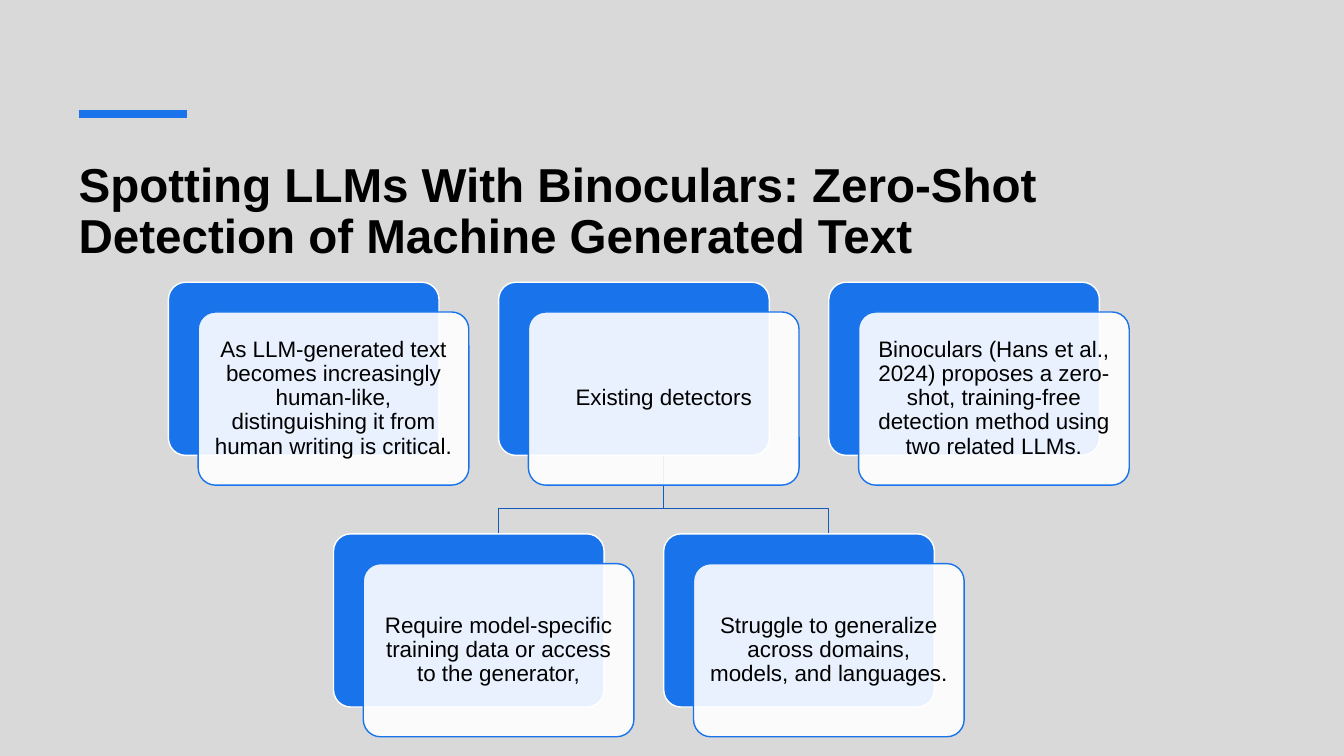
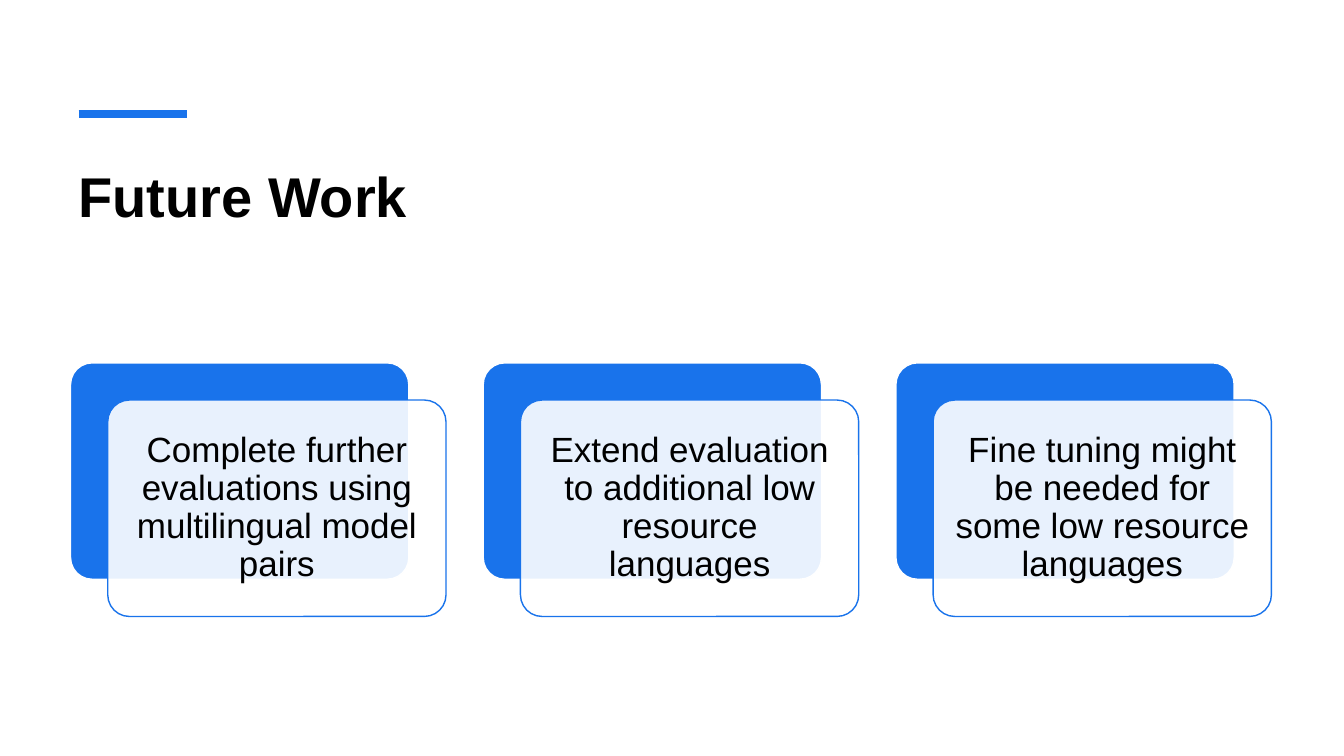
from dataclasses import dataclass

from lxml import etree
from pptx import Presentation
from pptx.dml.color import RGBColor
from pptx.enum.shapes import MSO_CONNECTOR, MSO_SHAPE
from pptx.enum.text import MSO_ANCHOR, PP_ALIGN
from pptx.oxml.ns import qn
from pptx.util import Inches, Pt

STRAIGHT = MSO_CONNECTOR.STRAIGHT
ROUNDED = MSO_SHAPE.ROUNDED_RECTANGLE
TOP, MIDDLE = MSO_ANCHOR.TOP, MSO_ANCHOR.MIDDLE
LEFT, CENTER = PP_ALIGN.LEFT, PP_ALIGN.CENTER


@dataclass(frozen=True)
class Theme:
    """Colours, type and line widths shared by the slides."""
    accent: str = "1973EB"
    branch: str = "145CBC"
    white: str = "FFFFFF"
    grey: str = "D9D9D9"
    ink: str = "000000"
    font: str = "Arial"
    title_large: int = 40
    title_long: int = 34
    card_large: int = 25
    card_small: int = 16
    accent_line: int = 6
    thin_line: int = 1
    line_spacing: float = 0.9
    card_opacity: int = 90


@dataclass(frozen=True)
class Box:
    """A rectangle in inches."""
    left: float
    top: float
    width: float
    height: float

    def emu(self):
        """Return the position and size as lengths."""
        return [Inches(value) for value in (self.left, self.top, self.width, self.height)]


@dataclass(frozen=True)
class CardGrid:
    """A grid of cards whose proportions are shares of one card width."""
    left: float
    top: float
    width: float
    columns: int = 3
    shift_x: float = 0.11
    shift_y: float = 0.11
    card_ratio: float = 0.64
    column_step: float = 1.22
    row_step: float = 0.93

    @property
    def unit(self):
        """Return the width of one card."""
        return self.width / ((self.columns - 1) * self.column_step + 1 + self.shift_x)

    def card(self, column, row=0):
        """Return the back plate of the card at a column and row."""
        unit = self.unit
        return Box(self.left + column * self.column_step * unit,
                   self.top + row * self.row_step * unit, unit, self.card_ratio * unit)

    def front(self, back):
        """Return the front plate that belongs to a back plate."""
        return Box(back.left + self.shift_x * self.unit, back.top + self.shift_y * self.unit,
                   back.width, back.height)


THEME = Theme()
SLIDE = Box(0, 0, 13.33, 7.5)
TITLE = Box(0.7, 1.5, 11.91, 1.2)
ACCENT = Box(0.78, 1.13, 1.07, 0)


def color(value):
    """Turn a hex string into a colour."""
    return RGBColor.from_string(value)


def write(shape, text, size, anchor, alignment, margins, spacing=THEME.line_spacing, bold=False):
    """Put one styled paragraph into a shape."""
    frame = shape.text_frame
    frame.word_wrap = True
    frame.vertical_anchor = anchor
    (frame.margin_left, frame.margin_top,
     frame.margin_right, frame.margin_bottom) = [Inches(margin) for margin in margins]
    frame.text = text
    paragraph = frame.paragraphs[0]
    paragraph.alignment = alignment
    paragraph.line_spacing = spacing
    font = paragraph.runs[0].font
    font.name, font.size, font.bold = THEME.font, Pt(size), bold
    font.color.rgb = color(THEME.ink)


def outline(shape, line_color, width=THEME.thin_line):
    """Set the line of a shape or connector."""
    shape.line.color.rgb = color(line_color)
    shape.line.width = Pt(width)


def add_plate(slide, box, fill, line_color):
    """Add one rounded plate."""
    plate = slide.shapes.add_shape(ROUNDED, *box.emu())
    plate.adjustments[0] = 0.1
    plate.shadow.inherit = False
    plate.fill.solid()
    plate.fill.fore_color.rgb = color(fill)
    outline(plate, line_color)
    return plate


def add_card(slide, grid, back, text, size, margin):
    """Add a solid back plate and a translucent front plate with text."""
    add_plate(slide, back, THEME.accent, THEME.white)
    front = add_plate(slide, grid.front(back), THEME.white, THEME.accent)
    fill_color = front.fill._xPr.find(qn("a:solidFill"))[0]
    etree.SubElement(fill_color, qn("a:alpha")).set("val", str(THEME.card_opacity * 1000))
    write(front, text, size, MIDDLE, CENTER, [margin] * 4)


def add_branch(slide, parent, child):
    """Draw an angled line from the foot of one card to the head of another."""
    start_x, end_x = (box.left + box.width / 2 for box in (parent, child))
    start_y, end_y = parent.top + parent.height, child.top
    bend_y = start_y + (end_y - start_y) * 0.68
    points = [(start_x, bend_y), (end_x, bend_y), (end_x, end_y)]
    builder = slide.shapes.build_freeform(Inches(start_x), Inches(start_y))
    builder.add_line_segments([(Inches(x), Inches(y)) for x, y in points], close=False)
    branch = builder.convert_to_shape()
    branch.shadow.inherit = False
    branch.fill.background()
    outline(branch, THEME.branch)


def add_slide(presentation, background, title, title_size, spacing):
    """Add a slide with its background, accent line and title."""
    slide = presentation.slides.add_slide(presentation.slide_layouts[6])
    slide.background.fill.solid()
    slide.background.fill.fore_color.rgb = color(background)
    title_box = slide.shapes.add_textbox(*TITLE.emu())
    write(title_box, title, title_size, TOP, LEFT, (0.08, 0.1, 0.2, 0.05), spacing, True)
    left, top, width, _ = ACCENT.emu()
    accent = slide.shapes.add_connector(STRAIGHT, left, top, left + width, top)
    outline(accent, THEME.accent, THEME.accent_line)
    etree.SubElement(accent._element.spPr, qn("a:effectLst"))
    return slide


def build_motivation(presentation):
    """Build the slide with three cards and two branches below the middle one."""
    slide = add_slide(
        presentation, THEME.grey,
        "Spotting LLMs With Binoculars: Zero-Shot Detection of Machine Generated Text",
        THEME.title_long, THEME.line_spacing)
    grid = CardGrid(1.67, 2.8, 9.53)
    cards = [
        (0, 0, "As LLM-generated text becomes increasingly human-like, "
               "distinguishing it from human writing is critical."),
        (1, 0, "Existing detectors"),
        (0.5, 1, "Require model-specific training data or access to the generator,"),
        (1.5, 1, "Struggle to generalize across domains, models, and languages."),
        (2, 0, "Binoculars (Hans et al., 2024) proposes a zero-shot, "
               "training-free detection method using two related LLMs."),
    ]
    parent = grid.front(grid.card(1))
    foot = Box(parent.left, grid.card(1).top, parent.width, parent.height)
    for column in (1.5, 0.5):
        child = grid.card(column, 1)
        head = Box(grid.front(child).left, child.top, child.width, child.height)
        add_branch(slide, foot, head)
    for column, row, text in cards:
        add_card(slide, grid, grid.card(column, row), text, THEME.card_small, 0.07)


def build_future_work(presentation):
    """Build the slide with one row of large cards."""
    slide = add_slide(presentation, THEME.white, "Future Work", THEME.title_large, 1.0)
    grid = CardGrid(TITLE.left, 3.6, TITLE.width)
    texts = [
        "Complete further evaluations using multilingual model pairs",
        "Extend evaluation to additional low resource languages",
        "Fine tuning might be needed for some low resource languages",
    ]
    for column, text in enumerate(texts):
        add_card(slide, grid, grid.card(column), text, THEME.card_large, 0.1)


def main():
    """Build and save the presentation."""
    presentation = Presentation()
    _, _, presentation.slide_width, presentation.slide_height = SLIDE.emu()
    build_motivation(presentation)
    build_future_work(presentation)
    presentation.save("out.pptx")


if __name__ == "__main__":
    main()
